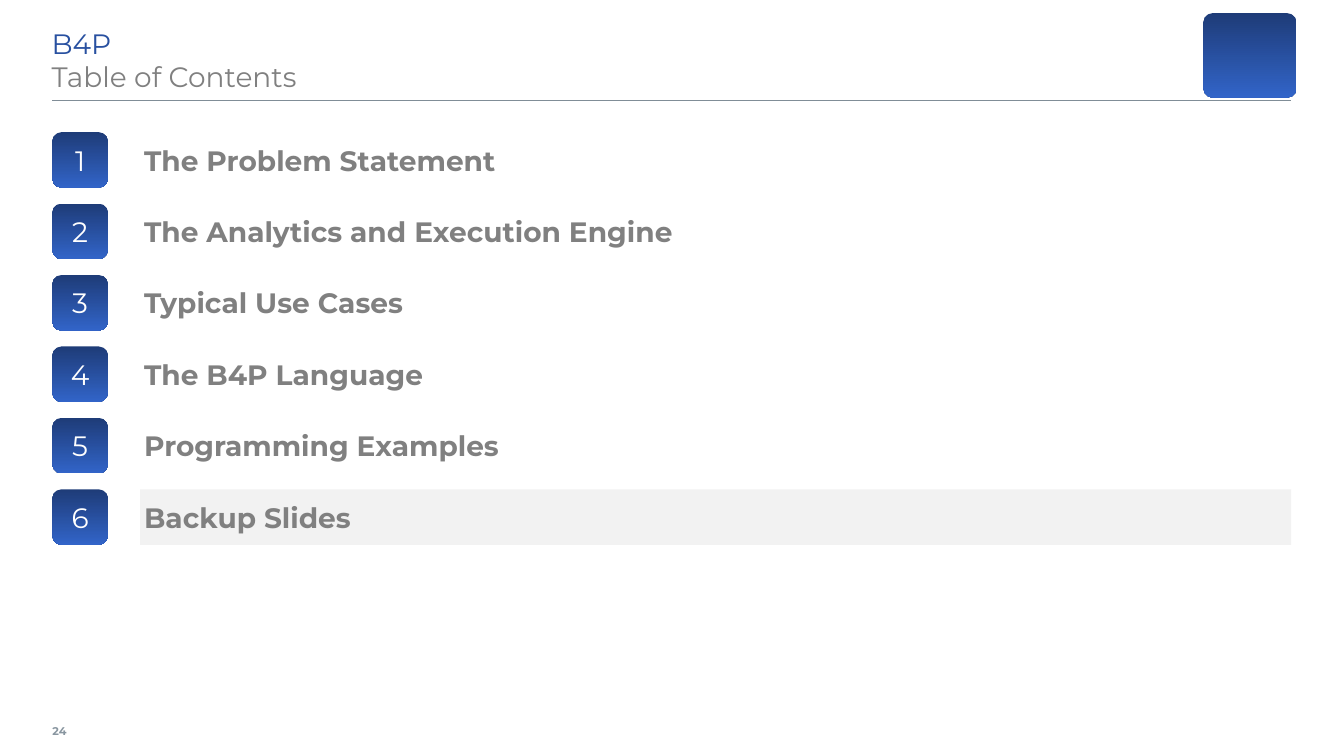
from lxml.etree import SubElement
from pptx import Presentation
from pptx.dml.color import RGBColor
from pptx.enum.shapes import MSO_CONNECTOR, MSO_SHAPE
from pptx.enum.text import MSO_ANCHOR, MSO_AUTO_SIZE, PP_ALIGN
from pptx.oxml.ns import qn
from pptx.util import Cm, Pt

LEFT, RIGHT = 1.32, 32.54
TOP, STEP, SIDE = 3.33, 1.8, 1.4
INDENT = 3.53
GRAY, WHITE = "808080", "FFFFFF"
TOPICS = [
    "The Problem Statement",
    "The Analytics and Execution Engine",
    "Typical Use Cases",
    "The B4P Language",
    "Programming Examples",
    "Backup Slides",
]
ACTIVE = "Backup Slides"


def tint(code):
    return RGBColor.from_string(code)


def write(frame, text, size=20, color=GRAY, bold=False, align=PP_ALIGN.LEFT,
          anchor=MSO_ANCHOR.MIDDLE, inset=(0.1, 0.1, 0.1, 0.1), first=None):
    frame.word_wrap = True
    frame.auto_size = MSO_AUTO_SIZE.NONE
    frame.vertical_anchor = anchor
    (frame.margin_left, frame.margin_top,
     frame.margin_right, frame.margin_bottom) = map(Cm, inset)
    para = frame.paragraphs[0]
    para.alignment = align
    for i, line in enumerate(text.split("\n")):
        if i:
            para.add_line_break()
        run = para.add_run()
        run.text = line
        font = run.font
        font.name, font.size, font.bold = "Montserrat", Pt(size), bold
        font.color.rgb = tint(first if first and i == 0 else color)


class Page:
    dark, light = "1E3C78", "3264C8"
    head, rule, band = "2850A0", "808D97", "F2F2F2"

    def __init__(self, deck):
        self.slide = deck.slides.add_slide(deck.slide_layouts[5])
        self.shapes = self.slide.shapes

    def title(self, text, x, y, w, h):
        shape = self.shapes.title
        shape.left, shape.top, shape.width, shape.height = map(Cm, (x, y, w, h))
        write(shape.text_frame, text, first=self.head,
              anchor=MSO_ANCHOR.TOP, inset=(0, 0.13, 0.25, 0.13))

    def line(self, x1, y1, x2, y2):
        line = self.shapes.add_connector(
            MSO_CONNECTOR.STRAIGHT, *map(Cm, (x1, y1, x2, y2)))
        line.line.color.rgb = tint(self.rule)
        line.line.width = Pt(1)
        SubElement(line._element.spPr, qn("a:effectLst"))

    def text(self, text, x, y, w, h, **style):
        box = self.shapes.add_textbox(*map(Cm, (x, y, w, h)))
        write(box.text_frame, text, **style)
        return box

    def tile(self, x, y, w, h, text="", round=0.1667):
        tile = self.shapes.add_shape(
            MSO_SHAPE.ROUNDED_RECTANGLE, *map(Cm, (x, y, w, h)))
        tile.shadow.inherit = False
        tile.adjustments[0] = round
        tile.line.fill.background()
        tile.fill.gradient()
        tile.fill.gradient_angle = 270
        for stop, code in zip(tile.fill.gradient_stops, (self.dark, self.light)):
            stop.color.rgb = tint(code)
        if text:
            write(tile.text_frame, text, color=WHITE, align=PP_ALIGN.CENTER)

    def topic(self, num, text):
        y = TOP + (num - 1) * STEP
        box = self.text(text, INDENT, y, RIGHT - INDENT, SIDE, bold=True)
        if text == ACTIVE:
            box.fill.solid()
            box.fill.fore_color.rgb = tint(self.band)
        self.tile(LEFT, y, SIDE, SIDE, str(num))


def main():
    deck = Presentation()
    deck.slide_width, deck.slide_height = Cm(33.87), Cm(19.05)
    page = Page(deck)
    page.line(LEFT, 2.54, RIGHT, 2.54)
    page.text("24", LEFT, 17.93, 1.19, 0.99, size=8, color="8996A0",
              bold=True, inset=(0, 0.13, 0.2, 0.13))
    page.tile(30.33, 0.33, 2.34, 2.13, round=0.11)
    page.title("B4P\nTable of Contents", 1.3, 0.53, 28.42, 2)
    for num, text in enumerate(TOPICS, 1):
        page.topic(num, text)
    deck.save("out.pptx")


if __name__ == "__main__":
    main()
